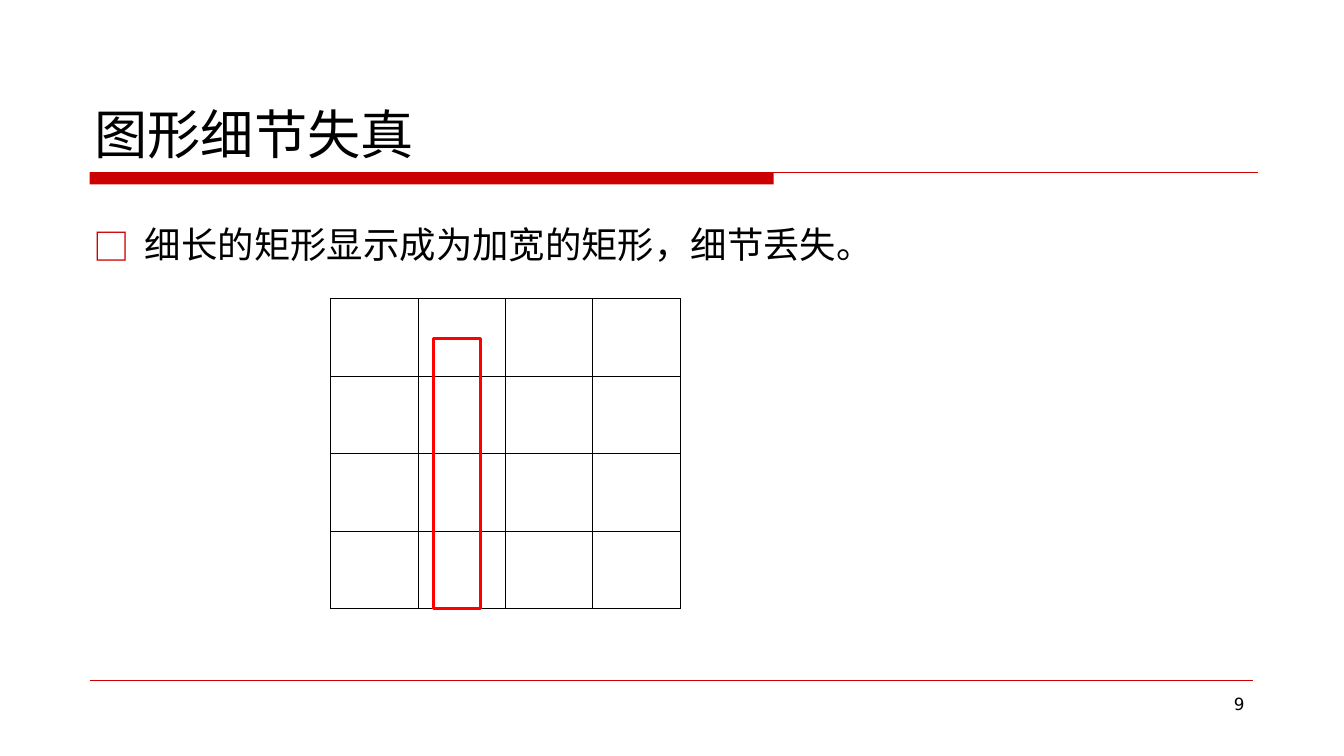
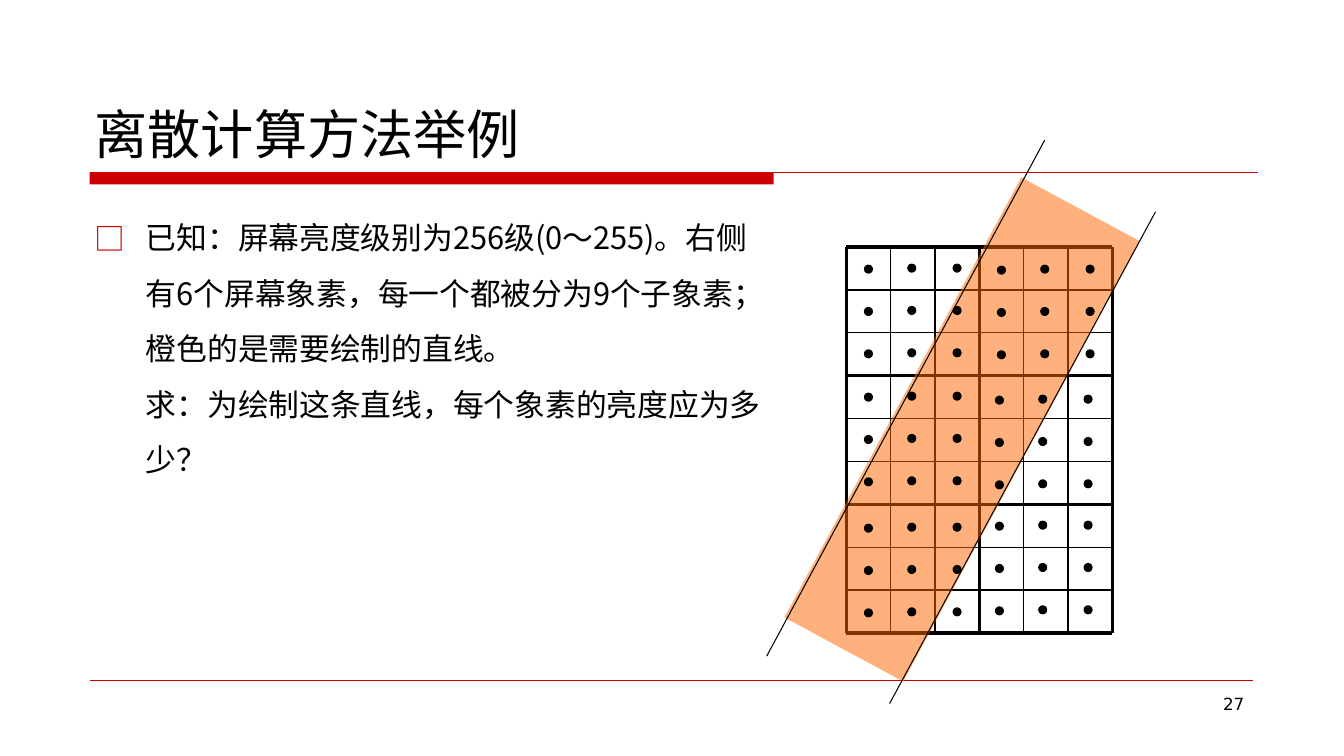
from lxml import etree
from pptx import Presentation
from pptx.dml.color import RGBColor
from pptx.enum.shapes import MSO_CONNECTOR, MSO_SHAPE
from pptx.enum.text import MSO_ANCHOR, PP_ALIGN
from pptx.oxml.ns import qn
from pptx.util import Pt

PX = 9144
RED = RGBColor(0xCC, 0x00, 0x00)
BRIGHT = RGBColor(0xFF, 0x00, 0x00)
ORANGE = RGBColor(0xFF, 0x66, 0x00)
BLACK = RGBColor(0x00, 0x00, 0x00)
WHITE = RGBColor(0xFF, 0xFF, 0xFF)
HAN = "Noto Sans CJK SC"
LATIN = "DejaVu Sans"
RECT = MSO_SHAPE.RECTANGLE
OVAL = MSO_SHAPE.OVAL
LINE = MSO_CONNECTOR.STRAIGHT
TOP, BOTTOM = MSO_ANCHOR.TOP, MSO_ANCHOR.BOTTOM
LEFT, RIGHT = PP_ALIGN.LEFT, PP_ALIGN.RIGHT


def emu(*sizes):
    return [round(size * PX) for size in sizes]


def child(node, tag, **attrs):
    return etree.SubElement(node, qn(tag), attrs)


def add_line(slide, x1, y1, x2, y2, color, width):
    line = slide.shapes.add_connector(LINE, *emu(x1, y1, x2, y2))
    line.line.color.rgb = color
    line.line.width = Pt(width)
    child(line._element.spPr, "a:effectLst")


def add_form(slide, kind, box, fill=None, edge=None, width=0.75):
    form = slide.shapes.add_shape(kind, *emu(*box))
    form.shadow.inherit = False
    if fill is None:
        form.fill.background()
    else:
        form.fill.solid()
        form.fill.fore_color.rgb = fill
    if edge is None:
        form.line.fill.background()
    else:
        form.line.color.rgb = edge
        form.line.width = Pt(width)
    return form


def add_text(slide, box, text, size, face=HAN, align=LEFT, anchor=TOP, bullet=False):
    frame = slide.shapes.add_textbox(*emu(*box)).text_frame
    frame.word_wrap = True
    frame.vertical_anchor = anchor
    para = frame.paragraphs[0]
    para.text = text
    para.alignment = align
    props = para._p.get_or_add_pPr()
    if bullet:
        para.line_spacing = Pt(size * 1.8)
        indent = 51 * PX
        props.set("marL", str(indent))
        props.set("indent", str(-indent))
        child(child(props, "a:buClr"), "a:srgbClr", val=str(RED))
        child(props, "a:buFont", typeface=HAN)
        child(props, "a:buChar", char="□")
    para.font.size = Pt(size)
    para.font.color.rgb = BLACK
    para.font.name = face
    child(props.find(qn("a:defRPr")), "a:ea", typeface=face)


def add_frame(deck, title, number):
    slide = deck.slides.add_slide(deck.slide_layouts[6])
    add_form(slide, RECT, (89, 171, 679, 12), RED)
    add_line(slide, 89, 171, 1249, 171, RED, 0.75)
    add_line(slide, 89, 675, 1244, 675, RED, 0.25)
    add_text(slide, (956, 683, 289, 52), number, 12, LATIN, RIGHT)
    add_text(slide, (84, 36, 1167, 133), title, 38, anchor=BOTTOM)
    return slide


def add_cells(slide, x, y, wide, high):
    size = 4
    table = slide.shapes.add_table(size, size, *emu(x, y, wide, high)).table
    table.first_row = table.horz_banding = False
    for col in table.columns:
        col.width = round(wide * PX / size)
    for row in table.rows:
        row.height = round(high * PX / size)
    for cell in table.iter_cells():
        props = cell._tc.get_or_add_tcPr()
        for side in ("a:lnL", "a:lnR", "a:lnT", "a:lnB"):
            edge = child(props, side, w=str(Pt(0.45)))
            child(child(edge, "a:solidFill"), "a:srgbClr", val=str(BLACK))
        cell.fill.solid()
        cell.fill.fore_color.rgb = WHITE


def add_mesh(slide, x, y, wide, high, cols=6, rows=9):
    for row in range(rows + 1):
        level = y + high * row / rows
        add_line(slide, x, level, x + wide, level, BLACK, 1 if row % 3 else 2.25)
    for col in range(cols + 1):
        place = x + wide * col / cols
        add_line(slide, place, y, place, y + high, BLACK, 1 if col % 3 else 2.25)


def add_band(slide, x, y):
    band = add_form(slide, RECT, (x, y, 496, 134), ORANGE)
    band.rotation = 118.3
    color = band._element.spPr.find(qn("a:solidFill"))[0]
    child(color, "a:alpha", val="51000")
    add_line(slide, x + 54, y + 292, x + 330, y - 220, BLACK, 0.75)
    add_line(slide, x + 176, y + 339, x + 440, y - 149, BLACK, 0.75)


def add_dots(slide, x, y):
    for row in range(3):
        for right, drop in ((0, 0), (43, -1), (88, -1)):
            box = (x + right, y + 42 * row + drop, 8, 8)
            add_form(slide, OVAL, box, BLACK, BLACK)


def add_detail(deck):
    slide = add_frame(deck, "图形细节失真", "9")
    text = "细长的矩形显示成为加宽的矩形，细节丢失。"
    add_text(slide, (83, 194, 1167, 467), text, 26, bullet=True)
    add_cells(slide, 328, 296, 347, 308)
    add_form(slide, RECT, (430, 336, 47, 268), edge=BRIGHT, width=2.25)


def add_sample(deck):
    slide = add_frame(deck, "离散计算方法举例", "27")
    text = (
        "已知：屏幕亮度级别为256级(0～255)。右侧有6个屏幕象素，"
        "每一个都被分为9个子象素；橙色的是需要绘制的直线。\v"
        "求：为绘制这条直线，每个象素的亮度应为多少？"
    )
    add_text(slide, (84, 194, 693, 467), text, 22, bullet=True)
    x, y = 840, 245
    add_mesh(slide, x, y, 264, 383)
    add_band(slide, x - 133, y + 114)
    starts = ((18, 18), (18, 145), (18, 275), (150, 19), (148, 148), (148, 273))
    for right, drop in starts:
        add_dots(slide, x + right, y + drop)


def main():
    deck = Presentation()
    deck.slide_width, deck.slide_height = emu(1334, 750)
    add_detail(deck)
    add_sample(deck)
    deck.save("out.pptx")


if __name__ == "__main__":
    main()
